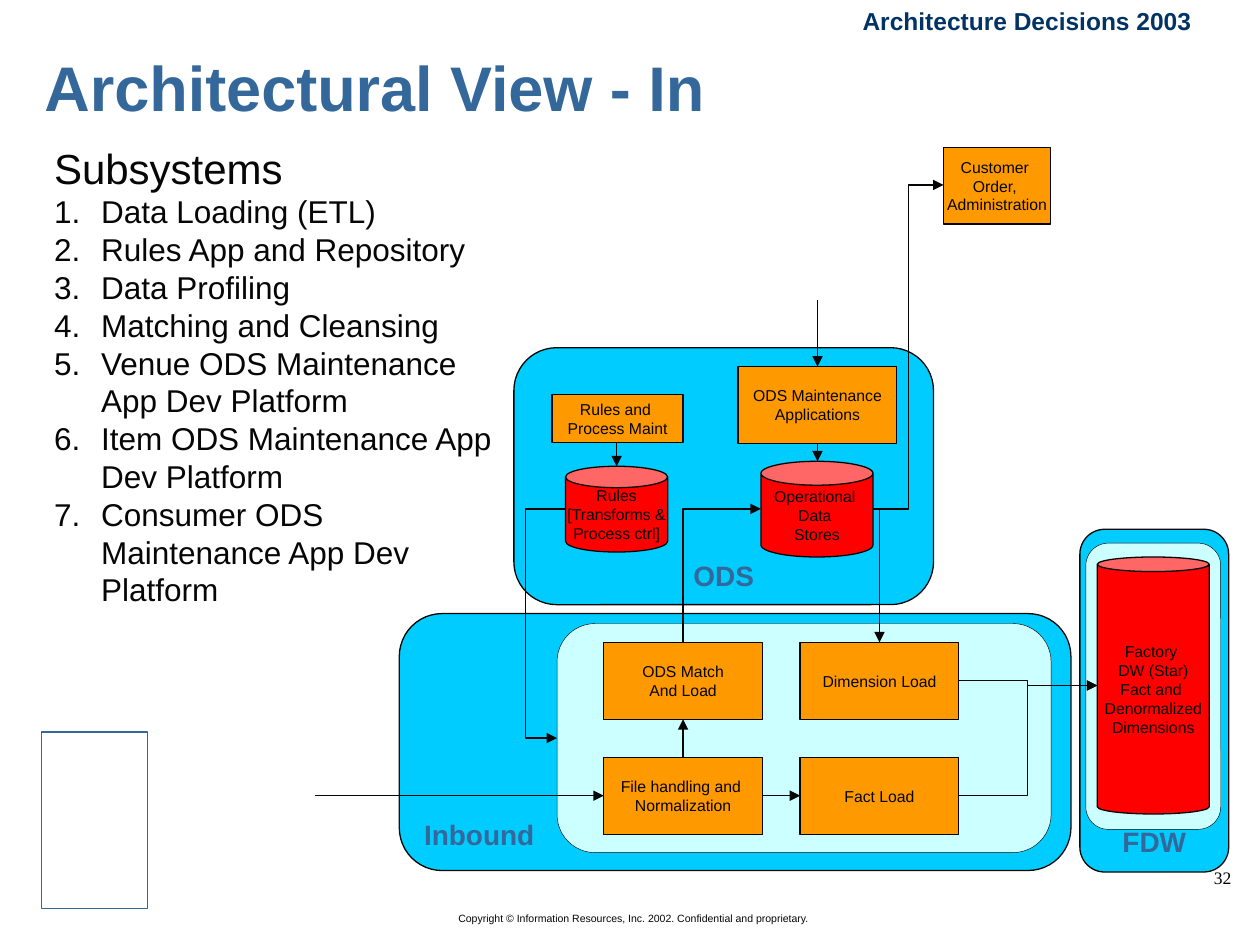
"""Build the inbound architecture slide with its subsystem list."""
from dataclasses import dataclass

from lxml.etree import SubElement
from pptx import Presentation
from pptx.dml.color import RGBColor
from pptx.enum.shapes import MSO_CONNECTOR as Link, MSO_SHAPE as Shape
from pptx.enum.text import MSO_ANCHOR as Anchor, PP_ALIGN as Align
from pptx.oxml.ns import qn
from pptx.util import Cm, Pt

INK, BLUE, NAVY = "060606", "34679A", "023365"
CYAN, PALE, ORANGE, RED = "00CCFF", "CCFFFF", "FF9900", "FF0000"


def color(value):
    return RGBColor.from_string(value)


@dataclass
class Sketch:
    page: object
    face: str = "Arial"
    line_width: float = 0.75

    def style(self, para, size, ink=INK, bold=False, align=Align.LEFT, face=None):
        para.alignment = align
        for span in para.runs:
            font = span.font
            font.name, font.size, font.bold = face or self.face, Pt(size), bold
            font.color.rgb = color(ink)

    def title(self, text, place):
        box = self.page.shapes.title
        box.left, box.top, box.width, box.height = map(Cm, place)
        box.text_frame.text = text
        box.text_frame.vertical_anchor = Anchor.BOTTOM
        self.style(box.text_frame.paragraphs[0], 36, BLUE, True)

    def text(self, text, place, size, **look):
        box = self.page.shapes.add_textbox(*map(Cm, place))
        box.text_frame.word_wrap = True
        box.text_frame.text = text
        for para in box.text_frame.paragraphs:
            self.style(para, size, **look)
        return box

    def numbered(self, heading, items, place):
        box = self.text("\n".join([heading, *items]), place, 18)
        first, *rest = box.text_frame.paragraphs
        self.style(first, 24)
        for para in rest:
            props = para._p.get_or_add_pPr()
            props.set("marL", str(Cm(0.95)))
            props.set("indent", str(-Cm(0.95)))
            SubElement(props, qn("a:buFont"), typeface=self.face)
            SubElement(props, qn("a:buAutoNum"), type="arabicPeriod")

    def shape(self, kind, place, fill=None, line=INK, width=None, adjust=None):
        box = self.page.shapes.add_shape(kind, *map(Cm, place))
        box.shadow.inherit = False
        if fill:
            box.fill.solid()
            box.fill.fore_color.rgb = color(fill)
        else:
            box.fill.background()
        box.line.color.rgb = color(line)
        box.line.width = Pt(width or self.line_width)
        if adjust:
            box.adjustments[0] = adjust
        return box

    def label(self, box, text, size=9, anchor=Anchor.MIDDLE, **look):
        frame = box.text_frame
        frame.word_wrap = False
        frame.vertical_anchor = anchor
        frame.text = text
        for para in frame.paragraphs:
            self.style(para, size, **look)

    def zone(self, text, place, align=Align.CENTER, bottom=0.13):
        box = self.shape(Shape.ROUNDED_RECTANGLE, place, CYAN)
        box.text_frame.margin_bottom = Cm(bottom)
        self.label(box, text, 16, Anchor.BOTTOM, ink=BLUE, bold=True, align=align)

    def inner(self, place):
        self.shape(Shape.ROUNDED_RECTANGLE, place, PALE, width=0.25)

    def process(self, text, place):
        self.label(self.shape(Shape.RECTANGLE, place, ORANGE), text, align=Align.CENTER)

    def store(self, text, place, adjust=0.25):
        box = self.shape(Shape.CAN, place, RED, adjust=adjust)
        self.label(box, text, align=Align.CENTER)

    def arrow(self, start, end, bend=None, kind=Link.STRAIGHT, tip="a:tailEnd"):
        link = self.page.shapes.add_connector(kind, *map(Cm, start + end))
        link.line.color.rgb = color(INK)
        link.line.width = Pt(self.line_width)
        SubElement(link.line._get_or_add_ln(), qn(tip), type="triangle")
        props = link._element.spPr
        SubElement(props, qn("a:effectLst"))
        if bend is not None:
            share = round((bend - start[0]) / (end[0] - start[0]) * 100000)
            guides = props.find(qn("a:prstGeom")).get_or_add_avLst()
            SubElement(guides, qn("a:gd"), name="adj1", fmla=f"val {share}")
        return link

    def elbow(self, start, end, bend):
        self.arrow(start, end, bend, Link.ELBOW)

    def corner(self, start, end, tip="a:tailEnd"):
        link = self.arrow(start, end, kind=Link.ELBOW, tip=tip)
        link._element.spPr.find(qn("a:prstGeom")).set("prst", "bentConnector2")


def main():
    deck = Presentation()
    deck.slide_width, deck.slide_height = Cm(25.4), Cm(19.05)
    sketch = Sketch(deck.slides.add_slide(deck.slide_layouts[5]))

    sketch.title("Architectural View - In", (0.64, 0.84, 18.62, 1.78))
    sketch.numbered("Subsystems", [
        "Data Loading (ETL)", "Rules App and Repository", "Data Profiling",
        "Matching and Cleansing", "Venue ODS Maintenance App Dev Platform",
        "Item ODS Maintenance App Dev Platform",
        "Consumer ODS Maintenance App Dev Platform",
    ], (0.84, 2.74, 9.53, 9.65))

    sketch.zone("Inbound", (8.05, 12.37, 13.54, 5.18), Align.LEFT)
    sketch.zone("ODS", (10.36, 7.01, 8.46, 5.18), bottom=0)
    sketch.zone("FDW", (21.77, 10.67, 3, 6.91))
    sketch.inner((11.23, 12.57, 9.96, 4.62))
    sketch.inner((21.89, 10.95, 2.72, 5.77))

    wide, tall = 3.2, 1.55
    loads = [["ODS Match\nAnd Load", "Dimension Load"],
             ["File handling and \nNormalization", "Fact Load"]]
    for row, texts in enumerate(loads):
        for column, text in enumerate(texts):
            place = (12.17 + 3.96 * column, 12.95 + 2.32 * row, wide, tall)
            sketch.process(text, place)
    sketch.process("ODS Maintenance\nApplications", (14.88, 7.39, wide, tall))
    sketch.process("Rules and \nProcess Maint", (11.13, 7.95, 2.64, 0.97))
    sketch.process("Customer \nOrder, \nAdministration", (19.02, 2.97, 2.16, tall))

    sketch.store("Operational \nData \nStores", (15.34, 9.3, 2.26, 1.93))
    sketch.store("Rules\n[Transforms &\nProcess ctrl]", (11.4, 9.4, 2.06, 1.73))
    sketch.store("Factory \nDW (Star)\nFact and \nDenormalized\nDimensions",
                 (22.12, 11.23, 2.26, 5.18), 0.13)

    for start, end in [
        ((13.77, 15.27), (13.77, 14.5)), ((15.37, 16.04), (16.13, 16.04)),
        ((6.35, 16.04), (12.17, 16.04)), ((16.48, 8.94), (16.48, 9.3)),
        ((12.43, 8.92), (12.43, 9.4)), ((16.48, 6.05), (16.48, 7.39)),
    ]:
        sketch.arrow(start, end)
    for start, end, bend in [
        ((19.32, 16.04), (22.12, 13.82), 20.72),
        ((19.32, 13.72), (22.12, 13.82), 20.72),
        ((11.4, 10.26), (11.23, 14.88), 10.59),
        ((17.6, 10.26), (19.02, 3.73), 18.31),
    ]:
        sketch.elbow(start, end, bend)
    sketch.corner((17.6, 10.26), (17.73, 12.95))
    sketch.corner((15.34, 10.26), (13.77, 12.95), "a:headEnd")

    sketch.shape(Shape.RECTANGLE, (0.84, 14.76, 2.13, 3.56), line=BLUE)
    sketch.text("Copyright © Information Resources, Inc. 2002. Confidential and proprietary.",
                (8.99, 18.26, 12.7, 0.51), 6)
    sketch.text("Architecture Decisions 2003 ", (0.64, 0, 23.77, 1.45), 14,
                ink=NAVY, bold=True, align=Align.RIGHT)
    sketch.text("32", (23.37, 17.35, 1.7, 0.69), 10, ink="000000",
                align=Align.RIGHT, face="Times New Roman")
    deck.save("out.pptx")


if __name__ == "__main__":
    main()
